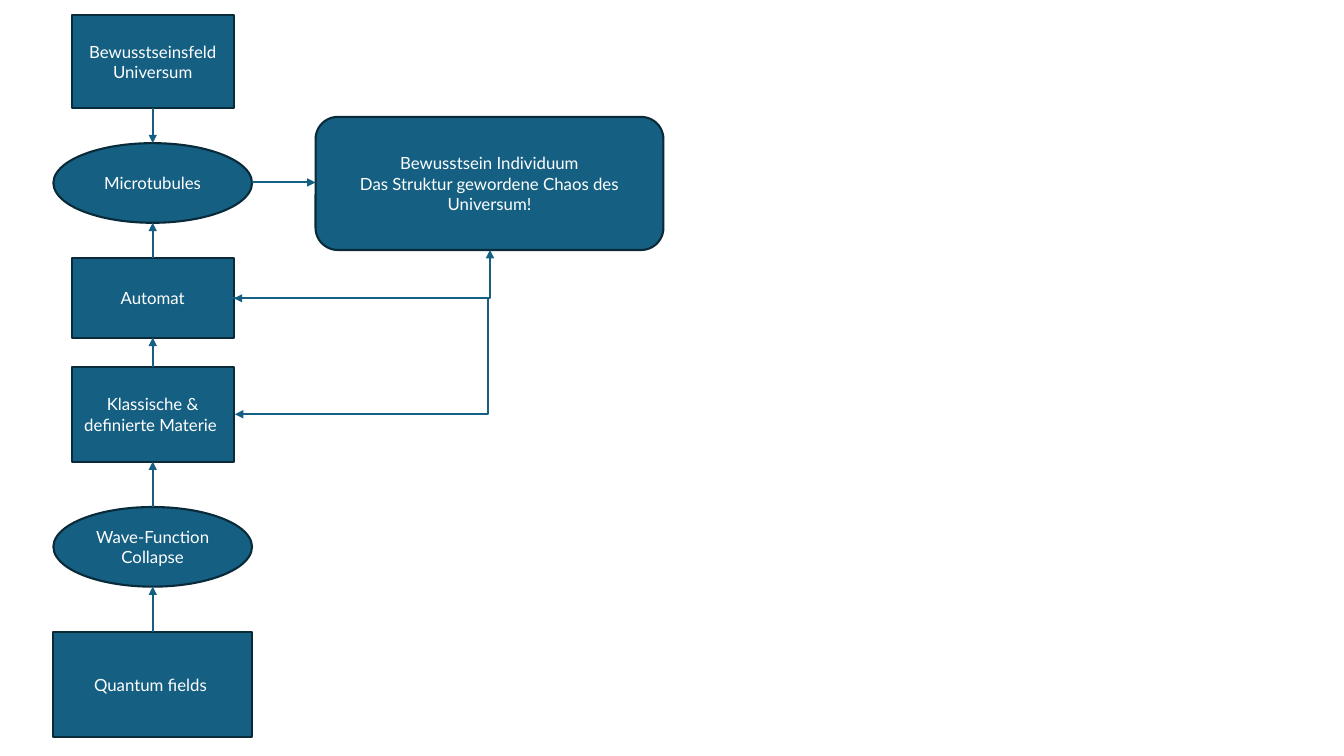
from dataclasses import dataclass

from lxml import etree
from pptx import Presentation
from pptx.dml.color import RGBColor
from pptx.enum.shapes import MSO_CONNECTOR, MSO_SHAPE
from pptx.enum.text import MSO_ANCHOR, PP_ALIGN
from pptx.oxml.ns import qn
from pptx.util import Inches, Pt

RECT = MSO_SHAPE.RECTANGLE
OVAL = MSO_SHAPE.OVAL
ROUND = MSO_SHAPE.ROUNDED_RECTANGLE
STRAIGHT = MSO_CONNECTOR.STRAIGHT
ELBOW = MSO_CONNECTOR.ELBOW
MIDDLE = MSO_ANCHOR.MIDDLE
CENTER = PP_ALIGN.CENTER


@dataclass(frozen=True)
class Theme:
    fill: RGBColor = RGBColor(0x15, 0x60, 0x82)
    edge: RGBColor = RGBColor(0x09, 0x2A, 0x39)
    text: RGBColor = RGBColor(0xFF, 0xFF, 0xFF)
    font: str = "Lato"
    size: Pt = Pt(12)
    line: Pt = Pt(1.5)


class Chart:
    def __init__(self, slide, theme):
        self.slide = slide
        self.theme = theme

    def node(self, kind, box, *lines):
        """Add a filled shape with one paragraph per line."""
        theme = self.theme
        shape = self.slide.shapes.add_shape(kind, *map(Inches, box))
        shape.shadow.inherit = False
        shape.fill.solid()
        shape.fill.fore_color.rgb = theme.fill
        shape.line.color.rgb = theme.edge
        shape.line.width = theme.line
        frame = shape.text_frame
        frame.word_wrap = True
        frame.vertical_anchor = MIDDLE
        for i, line in enumerate(lines):
            para = frame.add_paragraph() if i else frame.paragraphs[0]
            para.alignment = CENTER
            run = para.add_run()
            run.text = line
            run.font.name = theme.font
            run.font.size = theme.size
            run.font.color.rgb = theme.text

    def arrow(self, start, end, kind=STRAIGHT, both=False):
        """Add a connector with a triangle at its end, or at both ends."""
        link = self.slide.shapes.add_connector(
            kind, *map(Inches, (*start, *end)))
        link.line.color.rgb = self.theme.fill
        link.line.width = self.theme.line
        props = link._element.spPr
        line = props.find(qn("a:ln"))
        for tag in ("a:headEnd", "a:tailEnd") if both else ("a:tailEnd",):
            etree.SubElement(line, qn(tag), type="triangle")
        etree.SubElement(props, qn("a:effectLst"))
        return props.find(qn("a:prstGeom"))

    def corner(self, start, end):
        """Add a two-headed arrow with a single bend."""
        shape = self.arrow(start, end, ELBOW, both=True)
        shape.set("prst", "bentConnector2")

    def loop(self, start, end, bend):
        """Add an arrow that runs out to x = bend and back."""
        shape = self.arrow(start, end, ELBOW)
        ratio = round((bend - start[0]) / (end[0] - start[0]) * 100000)
        guides = shape.find(qn("a:avLst"))
        if guides is None:
            guides = etree.SubElement(shape, qn("a:avLst"))
        etree.SubElement(guides, qn("a:gd"), name="adj1", fmla=f"val {ratio}")


def main():
    deck = Presentation()
    deck.slide_width, deck.slide_height = Inches(13.33), Inches(7.5)
    chart = Chart(deck.slides.add_slide(deck.slide_layouts[6]), Theme())

    # Column of stages: shape, top, width, height, text
    axis = 1.515
    stages = (
        (RECT, 0.15, 1.61, 0.92, "Bewusstseinsfeld Universum"),
        (OVAL, 1.42, 1.97, 0.79, "Microtubules"),
        (RECT, 2.56, 1.61, 0.79, "Automat"),
        (RECT, 3.64, 1.61, 0.94, "Klassische & definierte Materie "),
        (OVAL, 5.03, 1.97, 0.79, "Wave-Function Collapse"),
        (RECT, 6.27, 1.97, 1.04, "Quantum fields "),
    )
    for kind, top, width, height, text in stages:
        chart.node(kind, (axis - width / 2, top, width, height), text)

    # Result on the right
    chart.node(ROUND, (3.13, 1.16, 3.45, 1.32), "Bewusstsein Individuum",
               "Das Struktur gewordene Chaos des Universum!")

    # Arrows in the column: the first points down, the rest point up
    for i, (upper, lower) in enumerate(zip(stages, stages[1:])):
        ends = [(axis, upper[1] + upper[3]), (axis, lower[1])]
        chart.arrow(*(ends[::-1] if i else ends))

    # Arrows to and from the result
    chart.arrow((2.5, 1.81), (3.13, 1.81))
    chart.corner((2.32, 2.96), (4.86, 2.48))
    chart.loop((2.31, 2.96), (2.33, 4.11), bend=4.83)

    deck.save("out.pptx")


if __name__ == "__main__":
    main()
